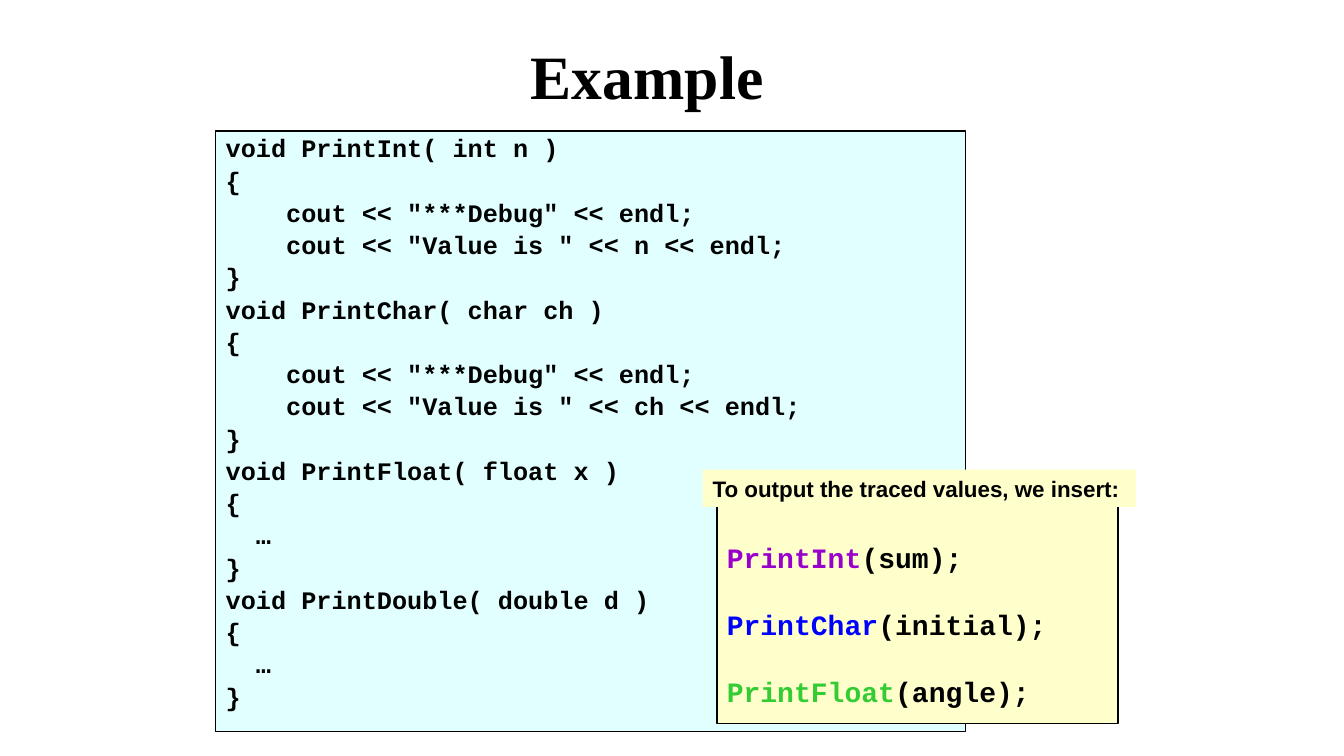
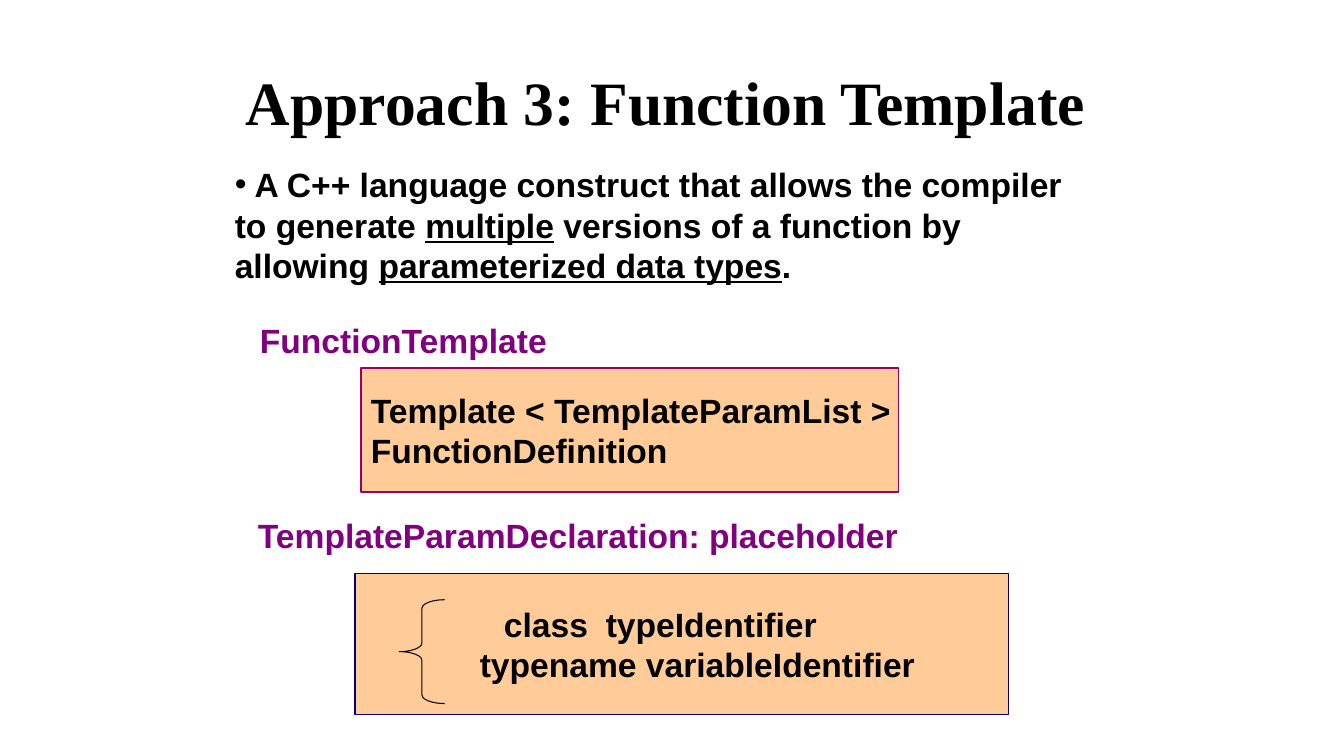
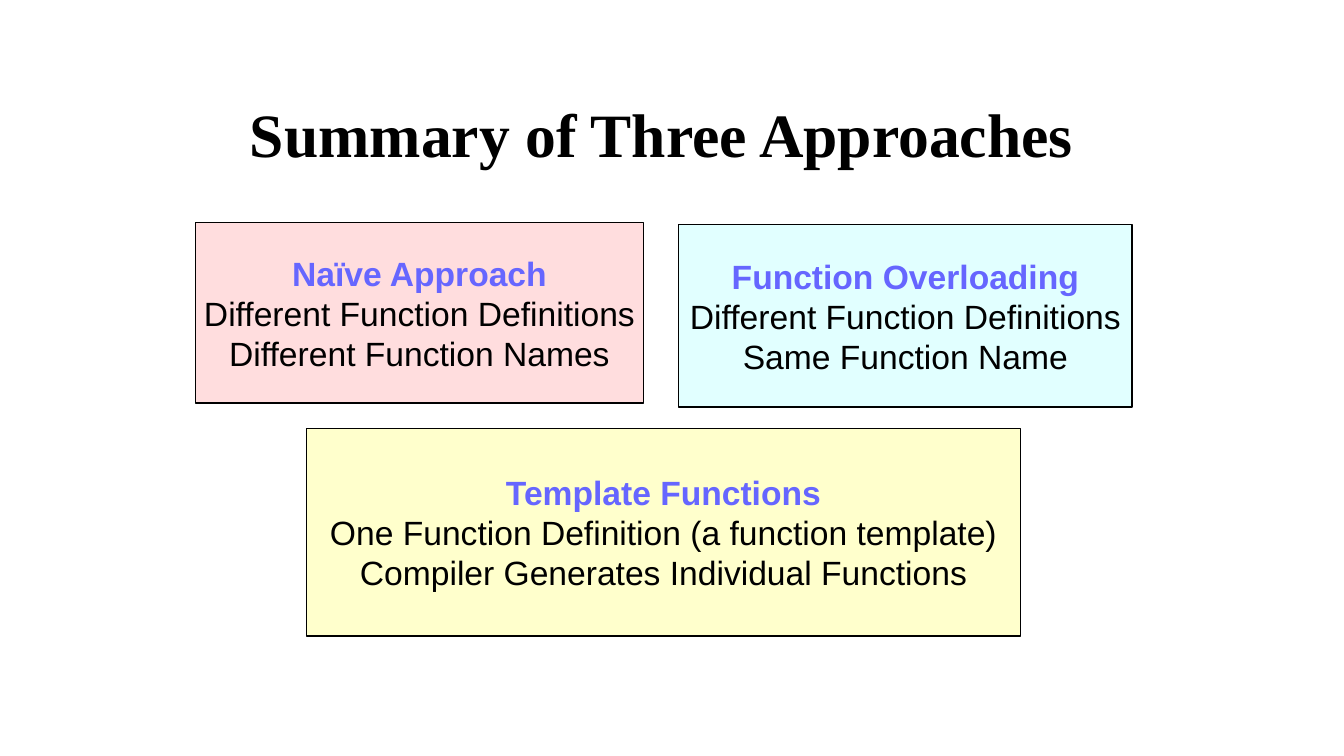
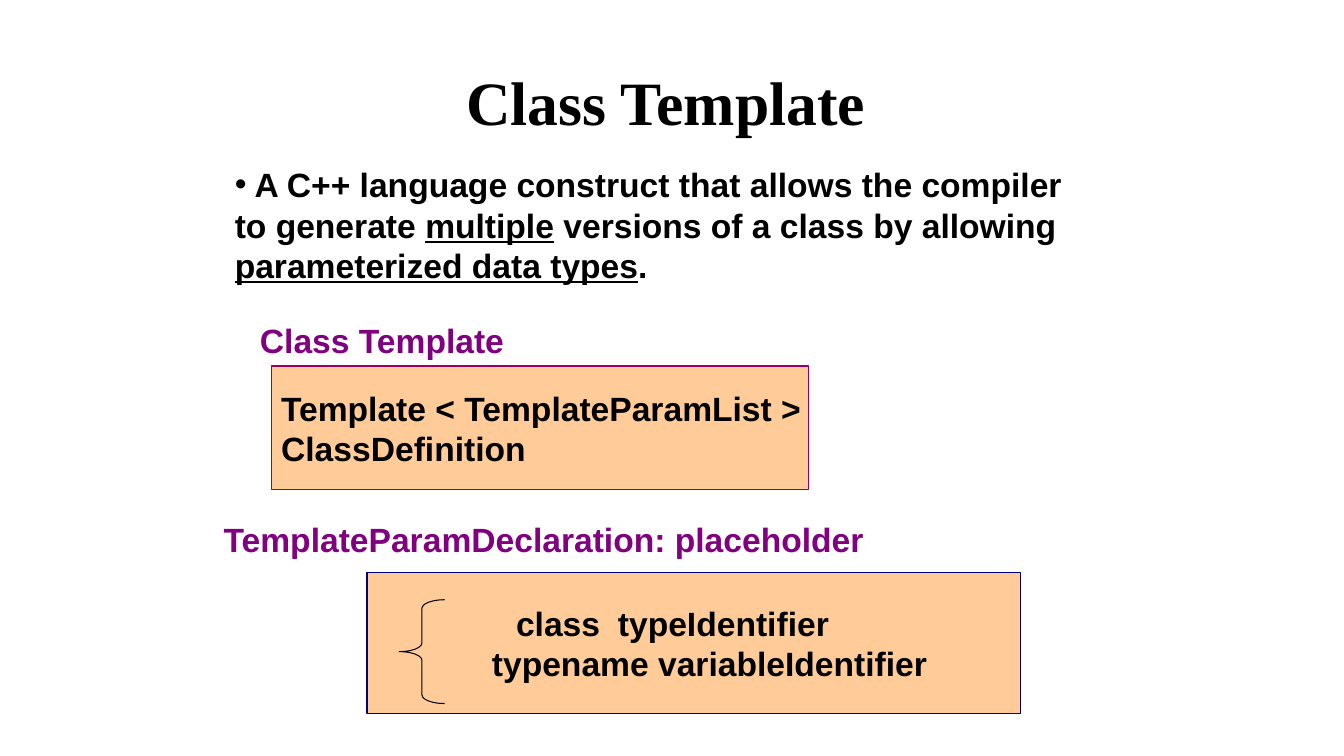
from pptx import Presentation
from pptx.dml.color import RGBColor
from pptx.enum.shapes import MSO_SHAPE as Shape
from pptx.enum.text import MSO_ANCHOR as Anchor, PP_ALIGN as Align
from pptx.oxml.ns import qn
from pptx.util import Inches, Pt
from lxml import etree

COLORS = {
    "black": "000000", "cyan": "E1FFFF", "yellow": "FFFFCC", "pink": "FFDDDE",
    "orange": "FFCC99", "wine": "990066", "navy": "000080", "purple": "800080",
    "heading": "6666FF", "violet": "9900CC", "blue": "0000FF", "green": "33CC33",
}
TITLE = {"font": "Times New Roman", "size": 44}
CODE = {"font": "Courier New", "size": 18}
LABEL = {"color": "purple"}
UNDERLINE = {"underline": True}


def add_box(slide, area, fill=None, line=None, weight=1, anchor=Anchor.TOP, left=0.1, right=0.1):
    """Add a text box, or a rectangle when it is filled."""
    place = [Inches(value) for value in area]
    if fill:
        box = slide.shapes.add_shape(Shape.RECTANGLE, *place)
        box.shadow.inherit = False
        box.fill.solid()
        box.fill.fore_color.rgb = RGBColor.from_string(COLORS[fill])
        if line:
            box.line.color.rgb = RGBColor.from_string(COLORS[line])
            box.line.width = Pt(weight)
        else:
            box.line.fill.background()
    else:
        box = slide.shapes.add_textbox(*place)
    frame = box.text_frame
    frame.word_wrap = True
    frame.vertical_anchor = anchor
    frame.margin_left, frame.margin_right = Inches(left), Inches(right)
    return box


def add_para(box, runs, align=Align.LEFT, font="Arial", size=24, color="black", bold=True):
    """Fill the first empty paragraph or add one; a run is (text, changes)."""
    frame = box.text_frame
    para = frame.paragraphs[0]
    if para.runs:
        para = frame.add_paragraph()
    para.alignment = align
    for text, changes in runs:
        span = para.add_run()
        span.text = text
        span.font.name = font
        span.font.size = Pt(size)
        span.font.bold = bold
        span.font.underline = changes.get("underline")
        span.font.color.rgb = RGBColor.from_string(COLORS[changes.get("color", color)])
    return para


deck = Presentation()
deck.slide_width, deck.slide_height = Inches(13.33), Inches(7.5)
blank = deck.slide_layouts[6]

# Slides and their titles
titles = [
    ("Example", (1.92, 0.32, 9, 0.85), Anchor.MIDDLE),
    ("Approach 3: Function Template", (2.21, 0.17, 8.79, 1.25), Anchor.BOTTOM),
    ("Summary of Three Approaches", (1.95, 0.48, 9.23, 1.25), Anchor.BOTTOM),
    ("Class Template", (2.21, 0.17, 8.79, 1.25), Anchor.BOTTOM),
]
slides = []
for title, area, anchor in titles:
    slide = deck.slides.add_slide(blank)
    add_para(add_box(slide, area, anchor=anchor), [(title, {})], Align.CENTER, **TITLE)
    slides.append(slide)
example, function_template, summary, class_template = slides

# Example: code listing, each line with its indent in characters
functions = [
    ("PrintInt( int n )", "n"), ("PrintChar( char ch )", "ch"),
    ("PrintFloat( float x )", None), ("PrintDouble( double d )", None),
]
listing = []
for signature, value in functions:
    listing += [(0, "void " + signature), (0, "{")]
    if value:
        listing += [(4, 'cout << "***Debug" << endl;'),
                    (4, f'cout << "Value is " << {value} << endl;')]
    else:
        listing.append((2, "…"))
    listing.append((0, "}"))

box = add_box(example, (2.14, 1.3, 7.44, 5.96), "cyan", "black", 0.75)
for indent, text in listing:
    para = add_para(box, [(text, {})], **CODE)
    para.line_spacing = 0.9
    para.space_before = Pt(3.6)
    para._p.get_or_add_pPr().set("marL", str(Inches(0.15 * indent)))

# Example: inserted calls
box = add_box(example, (7.11, 4.68, 3.98, 2.5), "yellow", "black", anchor=Anchor.BOTTOM)
box.text_frame.margin_bottom = Inches(0.15)
calls = [("PrintInt", "(sum);", "violet"), ("PrintChar", "(initial);", "blue"),
         ("PrintFloat", "(angle);", "green")]
for name, argument, color in calls:
    para = add_para(box, [(name, {"color": color}), (argument, {})], font="Courier New", size=20)
    para.space_before = Pt(24)
box = add_box(example, (6.97, 4.66, 4.3, 0.37), "yellow")
add_para(box, [("To output the traced values, we insert:", {})], size=16)

# Function template and class template share one layout
templates = [
    (function_template, "function", "FunctionTemplate", "FunctionDefinition",
     (3.58, 3.65), (2.46, 5.06), (3.52, 5.69)),
    (class_template, "class", "Class Template", "ClassDefinition",
     (2.69, 3.63), (2.12, 5.1), (3.64, 5.68)),
]
for slide, kind, label, definition, syntax_at, label_at, choice_at in templates:
    # Bulleted statement
    para = add_para(add_box(slide, (2.23, 1.58, 8.79, 1.31)), [
        (" A C++ language construct that allows the compiler to generate ", {}),
        ("multiple", UNDERLINE),
        (f" versions of a {kind} by allowing ", {}),
        ("parameterized data types", UNDERLINE),
        (".", {}),
    ])
    properties = para._p.get_or_add_pPr()
    etree.SubElement(properties, qn("a:buFont"), typeface="Arial")
    etree.SubElement(properties, qn("a:buChar"), char="•")

    # Syntax box and labels
    box = add_box(slide, (*syntax_at, 5.33, 1.23), "orange", "wine", anchor=Anchor.MIDDLE, right=0)
    for text in ("Template < TemplateParamList >", definition):
        add_para(box, [(text, {})])
    add_para(add_box(slide, (2.48, 3.12, 7.46, 0.5)), [(label, LABEL)])
    add_para(add_box(slide, (*label_at, 6.9, 0.5)),
             [("TemplateParamDeclaration: placeholder", LABEL)])

    # Placeholder choices, set on tab stops
    box = add_box(slide, (*choice_at, 6.48, 1.4), "orange", "navy", anchor=Anchor.MIDDLE)
    for text, stops in (("\tclass\ttypeIdentifier", (1.38, 2.39)),
                        ("\ttypename variableIdentifier", (1.14,))):
        para = add_para(box, [(text, {})])
        tabs = etree.SubElement(para._p.get_or_add_pPr(), qn("a:tabLst"))
        for stop in stops:
            etree.SubElement(tabs, qn("a:tab"), pos=str(Inches(stop)), algn="l")

    brace = slide.shapes.add_shape(Shape.LEFT_BRACE, Inches(3.96), Inches(5.95),
                                   Inches(0.45), Inches(1.03))
    brace.adjustments[0] = 0.19
    brace.shadow.inherit = False
    brace.fill.background()
    brace.line.color.rgb = RGBColor.from_string(COLORS["black"])
    brace.line.width = Pt(0.75)

# Summary: one box per approach
approaches = [
    ((1.94, 2.21, 4.44, 1.79), "pink", "Naïve Approach",
     "Different Function Definitions", "Different Function Names"),
    ((6.73, 2.23, 4.5, 1.81), "cyan", "Function Overloading",
     "Different Function Definitions", "Same Function Name"),
    ((3.04, 4.25, 7.08, 2.06), "yellow", "Template Functions",
     "One Function Definition (a function template)",
     "Compiler Generates Individual Functions"),
]
for area, fill, heading, *facts in approaches:
    box = add_box(summary, area, fill, "black", anchor=Anchor.MIDDLE, left=0, right=0)
    add_para(box, [(heading, {})], Align.CENTER, color="heading")
    for fact in facts:
        add_para(box, [(fact, {})], Align.CENTER, bold=False)

deck.save("out.pptx")
